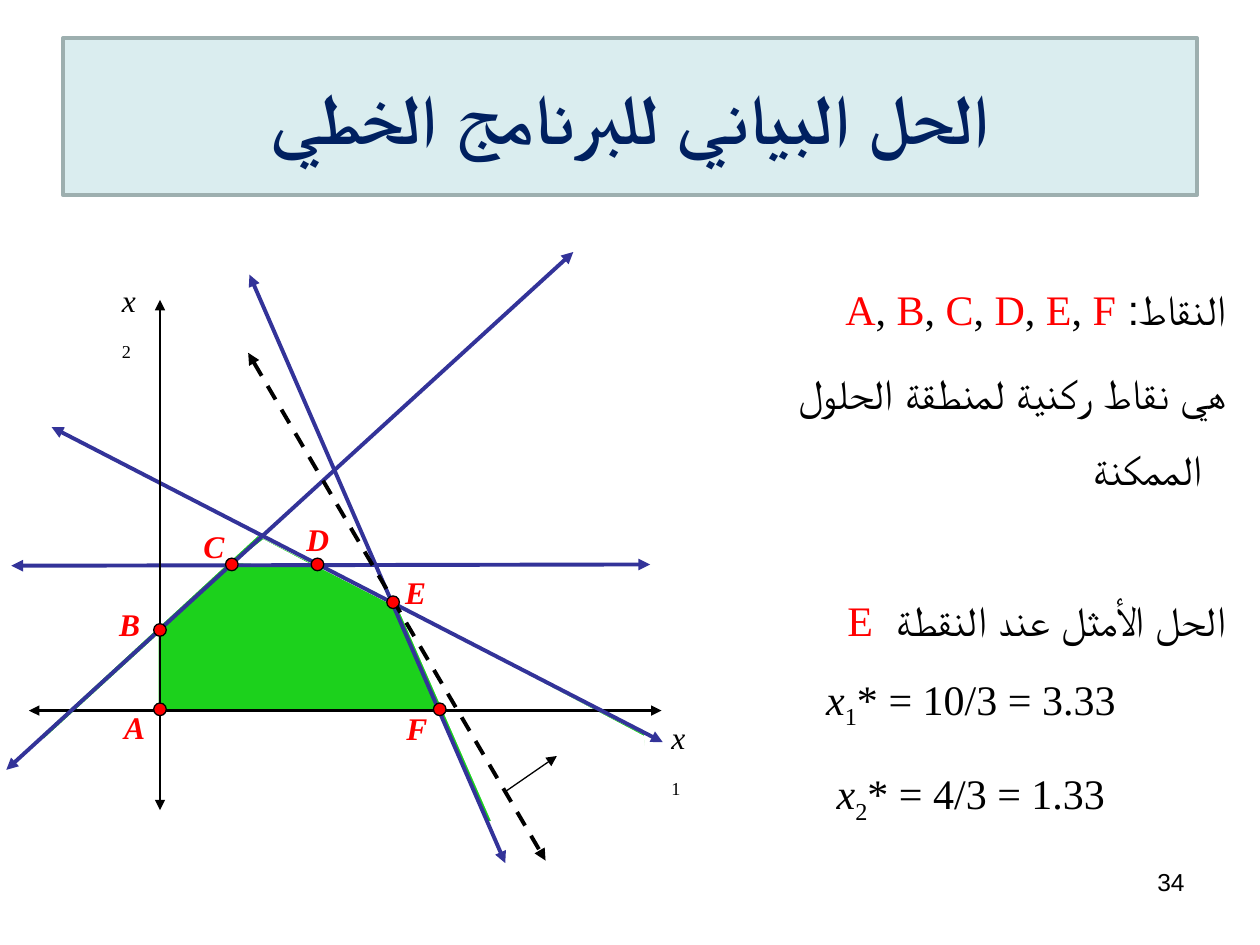
from lxml import etree
from pptx import Presentation
from pptx.dml.color import RGBColor
from pptx.enum.dml import MSO_LINE
from pptx.enum.shapes import MSO_CONNECTOR, MSO_SHAPE
from pptx.enum.text import MSO_ANCHOR, PP_ALIGN
from pptx.oxml.ns import qn
from pptx.util import Inches, Pt

LEFT, CENTER, RIGHT = PP_ALIGN.LEFT, PP_ALIGN.CENTER, PP_ALIGN.RIGHT
MIDDLE, DASH = MSO_ANCHOR.MIDDLE, MSO_LINE.DASH
STRAIGHT, OVAL = MSO_CONNECTOR.STRAIGHT, MSO_SHAPE.OVAL
SERIF, SANS = "Times New Roman", "Arial"
BLACK, RED, BLUE, WHITE = "000000", "FF0000", "333399", "FFFFFF"

prs = Presentation()
prs.slide_width, prs.slide_height = Inches(10), Inches(7.5)
s = prs.slides.add_slide(prs.slide_layouts[6])
U = prs.slide_width // 10  # grid of 10 columns by 7.5 rows


def rgb(value):
    return RGBColor.from_string(value)


def add_text(box, runs, size, align=LEFT, font=SERIF, rtl=False, p=None):
    """Fill a paragraph with (text, colour, style) runs; style: b, i, s (subscript)."""
    box.text_frame.word_wrap = True
    p = p or box.text_frame.paragraphs[0]
    p.alignment = align
    if rtl:
        p._p.get_or_add_pPr().set("rtl", "1")
    for text, color, style in runs:
        r = p.add_run()
        r.text = text
        r.font.name, r.font.size = font, Pt(size)
        r.font.color.rgb = rgb(color)
        r.font.bold, r.font.italic = "b" in style, "i" in style
        etree.SubElement(r.font._element, qn("a:cs"), typeface=SANS)  # Arabic letters
        if "s" in style:
            r.font._element.set("baseline", "-25000")
    return p


# Title and slide number
title = s.shapes.add_textbox(U * 0.5, U * 0.3, U * 9, U * 1.25)
title.fill.solid()
title.fill.fore_color.rgb = rgb("DAEDEF")
title.line.color.rgb = rgb("9DAFAF")
title.line.width = Pt(2)
title.text_frame.vertical_anchor = MIDDLE
add_text(title, [("الحل البياني للبرنامج الخطي", "002060", "b")], 40, CENTER, SANS, True)
number = s.shapes.add_textbox(U * 7.17, U * 6.83, U * 2.33, U * 0.52)
add_text(number, [("34", BLACK, "")], 14, RIGHT, SANS)

# Feasible region: a green area trimmed by white ones along the constraints
areas = [
    ("00CC00", [(0.48, 3.45), (5.11, 5.83), (5.13, 6.49), (0.31, 6.59)]),
    (WHITE, [(3.16, 4.83), (3.93, 6.59), (5.18, 6.59), (5.11, 5.84), (3.14, 4.8)]),
    (WHITE, [(0.1, 3.24), (2.05, 4.25), (0.13, 6.02)]),
    (WHITE, [(2.09, 4.28), (1.85, 4.47), (2.49, 4.49)]),
    (WHITE, [(1.26, 5.03), (1.26, 5.63), (3.48, 5.65), (4.05, 6.91),
             (0.38, 7.14), (0.22, 5.98)]),
]
for color, corners in areas:
    points = [(x * U, y * U) for x, y in corners]
    builder = s.shapes.build_freeform(*points[0])
    builder.add_line_segments(points[1:], close=True)
    area = builder.convert_to_shape()
    area.shadow.inherit = False
    area.fill.solid()
    area.fill.fore_color.rgb = rgb(color)
    area.line.fill.background()
    if color != WHITE:
        fill = area._element.spPr.find(qn("a:solidFill"))
        etree.SubElement(fill[0], qn("a:alpha"), val="89000")

# Axes, constraints, objective line and its direction
lines = [
    (0.23, 5.64, 5.25, 5.64, BLACK, 1.5),
    (0.41, 3.39, 5.26, 5.89, BLUE, 2.25),
    (1.98, 2.18, 4.01, 6.85, BLUE, 2.25),
    (4.55, 2, 0.05, 6.11, BLUE, 2.25),
    (5.16, 4.48, 0.09, 4.49, BLUE, 2.25),
    (1.27, 2.38, 1.27, 6.43, BLACK, 1.5),
    (1.97, 2.8, 4.33, 6.83, BLACK, 2.25),
    (4, 6.29, 4.42, 6, BLACK, 0.75),
]
for x1, y1, x2, y2, color, width in lines:
    c = s.shapes.add_connector(STRAIGHT, *(int(v * U) for v in (x1, y1, x2, y2)))
    c.line.color.rgb = rgb(color)
    c.line.width = Pt(width)
    if color == BLACK and width == 2.25:
        c.line.dash_style = DASH
    ln = c.line._get_or_add_ln()
    for end in ("a:headEnd", "a:tailEnd") if width > 1 else ("a:tailEnd",):
        etree.SubElement(ln, qn(end), type="triangle")
    etree.SubElement(c._element.spPr, qn("a:effectLst"))

# Axis names
for index, x, y in [("1", 5.23, 5.65), ("2", 0.87, 2.18)]:
    box = s.shapes.add_textbox(U * x, U * y, U * 0.37, U * 0.4)
    add_text(box, [("x", BLACK, "i"), (index, BLACK, "s")], 18)

# Corner points: dot centre, then the label's top left
corners = [
    ("A", 1.27, 5.63, 0.87, 5.57), ("B", 1.27, 5, 0.83, 4.75),
    ("C", 1.84, 4.48, 1.5, 4.13), ("D", 2.52, 4.48, 2.33, 4.08),
    ("E", 3.12, 4.78, 3.1, 4.5), ("F", 3.49, 5.63, 3.11, 5.58),
]
for name, cx, cy, x, y in corners:
    dot = s.shapes.add_shape(OVAL, *(int(v * U) for v in (cx - 0.05, cy - 0.05, 0.1, 0.1)))
    dot.shadow.inherit = False
    dot.fill.solid()
    dot.fill.fore_color.rgb = rgb(RED)
    dot.line.color.rgb = rgb(BLACK)
    dot.line.width = Pt(0.75)
    box = s.shapes.add_textbox(U * x, U * y, U * 0.38, U * 0.4)
    add_text(box, [(name, RED, "bi")], 18, RIGHT, rtl=True)

# Explanation: runs, alignment, space before
names = [("النقاط: ", BLACK, "")]
for name in "ABCDE":
    names += [(name, RED, ""), (", ", BLACK, "")]
names.append(("F", RED, ""))
paragraphs = [
    (names, RIGHT, 5),
    ([("هي نقاط ركنية لمنطقة الحلول الممكنة", BLACK, "")], RIGHT, 5),
    ([("الحل الأمثل عند النقطة  ", BLACK, ""), ("E", RED, "")], RIGHT, 43),
    ([("x", BLACK, "i"), ("1", BLACK, "s"), ("* = 10/3 = 3.33", BLACK, "")], CENTER, 0),
    ([("x", BLACK, "i"), ("2", BLACK, "s"), ("* = 4/3 = 1.33", BLACK, "")], CENTER, 5),
]
body = s.shapes.add_textbox(U * 5.58, U * 2, U * 4.25, U * 5.04)
tf = body.text_frame
for i, (runs, align, before) in enumerate(paragraphs):
    p = tf.add_paragraph() if i else tf.paragraphs[0]
    add_text(body, runs, 24, align, rtl=align == RIGHT, p=p)
    p.line_spacing = 1.5
    p.space_before = Pt(before)
    pPr = p._p.get_or_add_pPr()
    pPr.set("marL", str(int(U * 0.19)))
    pPr.set("indent", str(int(U * -0.19)))

prs.save("out.pptx")
